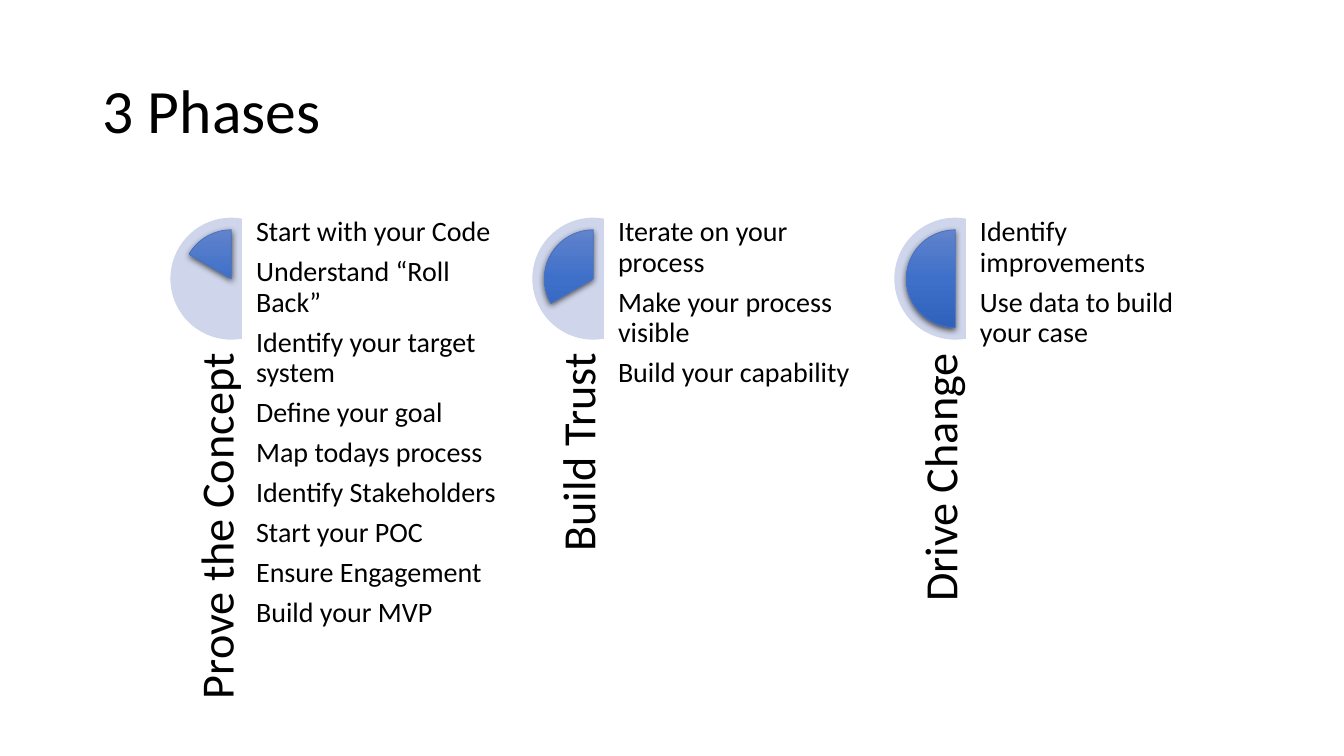
import copy
import pptx
import pptx.util
import pptx.dml.color
import pptx.enum.shapes
import pptx.enum.text
import pptx.oxml
import pptx.oxml.ns

Inches = pptx.util.Inches
Pt = pptx.util.Pt
KIND = pptx.enum.shapes.MSO_SHAPE
ANCHOR = pptx.enum.text.MSO_ANCHOR
ALIGN = pptx.enum.text.PP_ALIGN

LEFT, TOP, STEP = 1.69, 2.16, 3.59
DISK, WEDGE = 1.21, 0.97
PHASES = [
    ("Prove the Concept", 126, [
        "Start with your Code", "Understand “Roll Back”",
        "Identify your target system", "Define your goal",
        "Map todays process", "Identify Stakeholders", "Start your POC",
        "Ensure Engagement", "Build your MVP"]),
    ("Build Trust", 90, [
        "Iterate on your process", "Make your process visible",
        "Build your capability"]),
    ("Drive Change", 54, [
        "Identify improvements", "Use data to build your case"]),
]
STOPS = [(0, "6183CB"), (0.5, "3E70CA"), (1, "3062BB")]
BARE = dict(margin_left=0, margin_right=0, margin_top=0, margin_bottom=0)
SHADE = (
    '<a:outerShdw %s blurRad="%d" dist="%d" dir="5400000" algn="ctr" '
    'rotWithShape="0"><a:srgbClr val="000000"><a:alpha val="63000"/>'
    '</a:srgbClr></a:outerShdw>')


def color(code):
    return pptx.dml.color.RGBColor.from_string(code)


def apply(item, form):
    for key, value in form.items():
        setattr(item, key, value)


def write(shape, lines, size, frame, para):
    text = shape.text_frame
    apply(text, dict(word_wrap=True,
                     auto_size=pptx.enum.text.MSO_AUTO_SIZE.NONE, **frame))
    text.text = "\n".join(lines)
    for part in text.paragraphs:
        apply(part, dict(line_spacing=0.9, **para))
        for run in part.runs:
            apply(run.font, dict(name="Calibri", size=Pt(size)))
            run.font.color.rgb = color("000000")


def add_text(slide, box, lines, size, frame, para, turn=0):
    shape = slide.shapes.add_textbox(*map(Inches, box))
    shape.rotation = turn
    para = dict(space_after=Pt(0.35 * size), **para)
    write(shape, lines, size, dict(BARE, **frame), para)


def add_arc(slide, kind, left, top, size, ends):
    box = map(Inches, (left, top, size, size))
    shape = slide.shapes.add_shape(kind, *box)
    shape.shadow.inherit = False
    for spot, end in enumerate(ends):
        shape.adjustments[spot] = end
    return shape


def add_disk(slide, left):
    disk = add_arc(slide, KIND.CHORD, left, TOP, DISK, (48, 168))
    disk.fill.solid()
    disk.fill.fore_color.rgb = color("CFD5EA")
    disk.line.fill.background()


def add_wedge(slide, left, start):
    inset = (DISK - WEDGE) / 2
    wedge = add_arc(slide, KIND.PIE, left + inset, TOP + inset, WEDGE,
                    (start, 162))
    wedge.fill.gradient()
    wedge.fill.gradient_angle = 270
    props = wedge._element.spPr
    group = props.find(".//" + pptx.oxml.ns.qn("a:gsLst"))
    group.append(copy.deepcopy(group[0]))
    for stop, (place, code) in zip(wedge.fill.gradient_stops, STOPS):
        stop.position = place
        stop.color.rgb = color(code)
    wedge.line.color.rgb = color("4472C4")
    wedge.line.width = Pt(0.5)
    shade = SHADE % (pptx.oxml.ns.nsdecls("a"), Pt(4.5), Pt(1.5))
    effects = props.find(pptx.oxml.ns.qn("a:effectLst"))
    effects.append(pptx.oxml.parse_xml(shade))


def add_phase(slide, left, name, start, tasks):
    add_disk(slide, left)
    add_wedge(slide, left, start)
    add_text(slide, (left - 1.4, 4.9, 3.52, 0.73), [name], 33,
             dict(vertical_anchor=ANCHOR.BOTTOM),
             dict(alignment=ALIGN.RIGHT), 270)
    add_text(slide, (left + 0.85, TOP, 2.43, 4.86), tasks, 20,
             dict(vertical_anchor=ANCHOR.TOP), dict(alignment=ALIGN.LEFT))


def add_title(slide, words):
    title = slide.shapes.title
    apply(title, dict(left=Inches(0.92), top=Inches(0.4),
                      width=Inches(11.5), height=Inches(1.45)))
    write(title, [words], 44, dict(vertical_anchor=ANCHOR.MIDDLE),
          dict(alignment=ALIGN.LEFT))


def main():
    deck = pptx.Presentation()
    apply(deck, dict(slide_width=Inches(13.33), slide_height=Inches(7.5)))
    slide = deck.slides.add_slide(deck.slide_layouts[5])
    add_title(slide, "3 Phases")
    for spot, phase in enumerate(PHASES):
        add_phase(slide, LEFT + spot * STEP, *phase)
    deck.save("out.pptx")


main()
